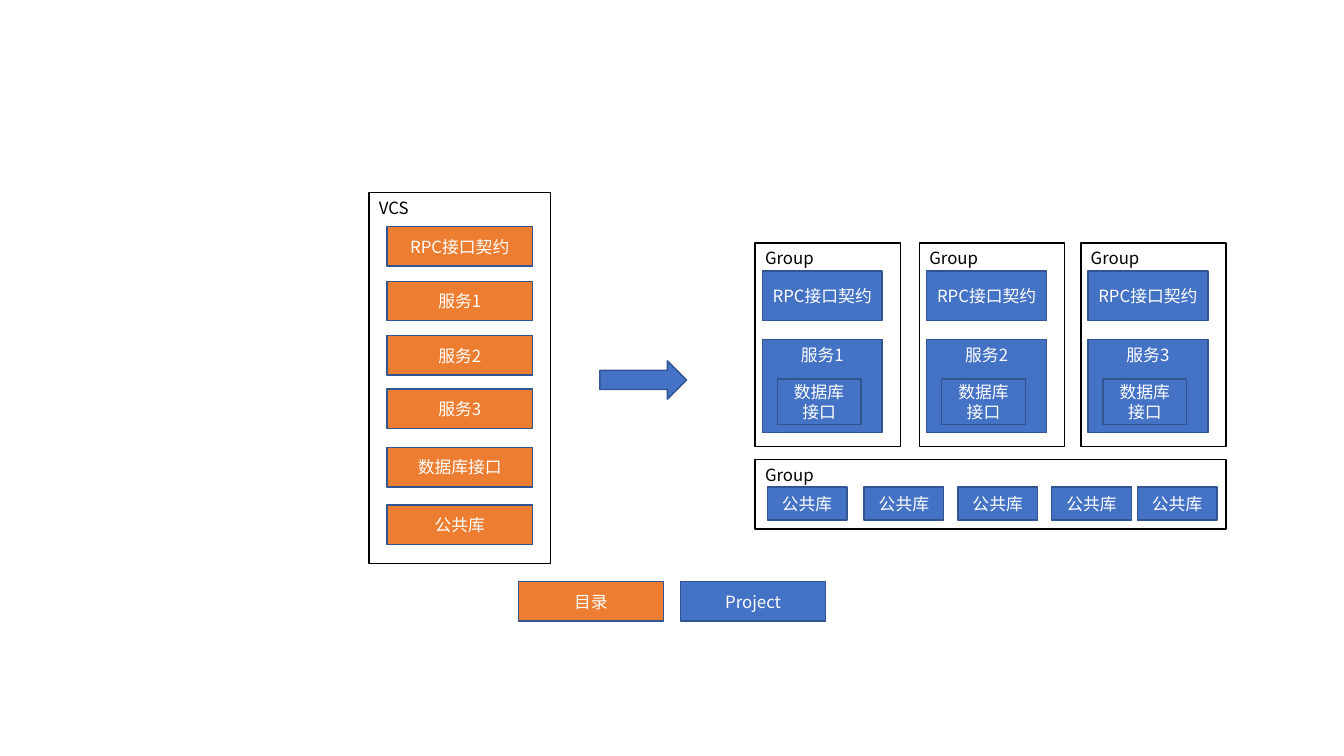
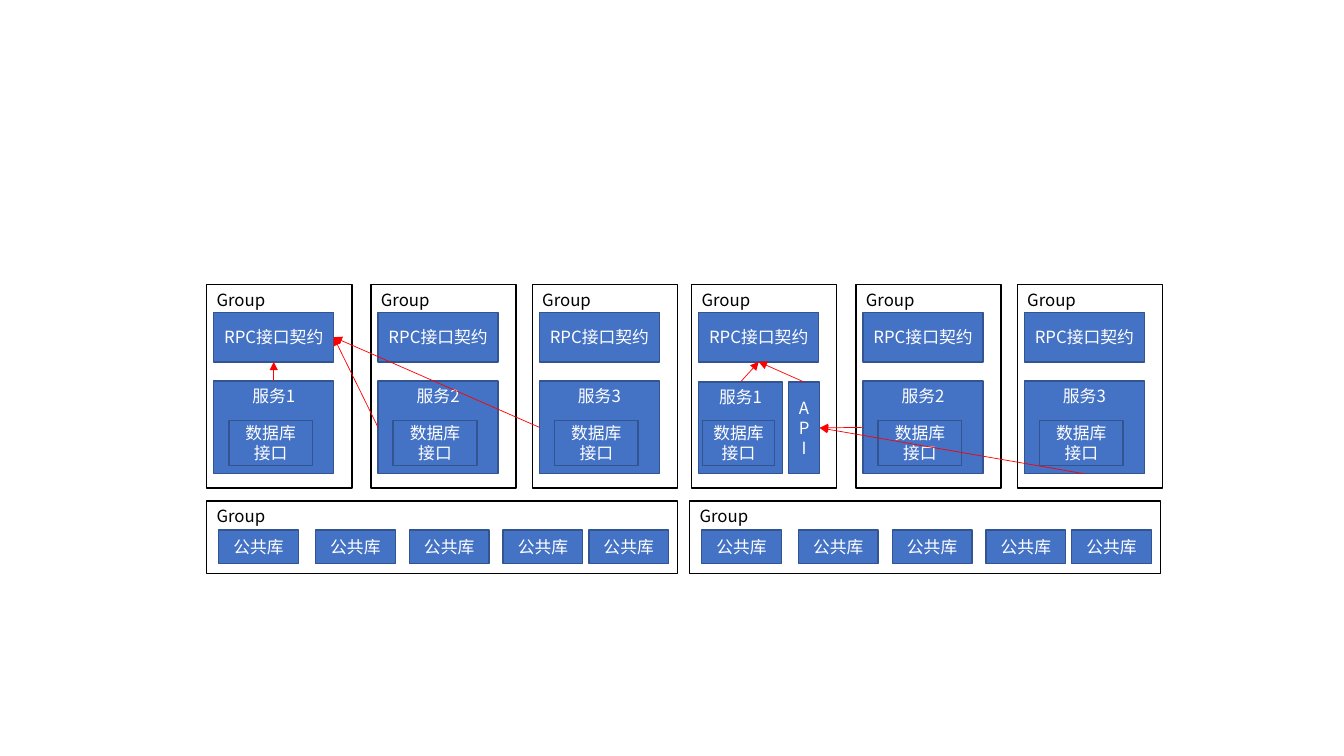
from lxml.etree import SubElement
from pptx import Presentation
from pptx.dml.color import RGBColor
from pptx.enum.shapes import MSO_CONNECTOR as Connector, MSO_SHAPE as Shape
from pptx.enum.text import MSO_ANCHOR as Anchor, PP_ALIGN as Align
from pptx.oxml.ns import qn
from pptx.util import Inches, Pt

FONT = "Noto Sans CJK SC"
BLUE, ORANGE, EDGE = "4472C4", "ED7D31", "325491"
BLACK, WHITE, RED = "000000", "FFFFFF", "FF0000"
TOP, LEFT, BOTTOM, RIGHT = range(4)

REPOSITORY = "VCS"
CONTRACT, DATABASE, LIBRARY = "RPC接口契约", "数据库接口", "公共库"
SERVICES = ["服务1", "服务2", "服务3"]
DIRECTORIES = list(zip([CONTRACT, *SERVICES, DATABASE, LIBRARY],
                       [2.25, 2.79, 3.33, 3.86, 4.44, 5.01]))
LEGEND = [("目录", ORANGE, 5.14), ("Project", BLUE, 6.75)]

GROUP_OFFSETS = [0, 1.63, 3.23]
LIBRARY_OFFSETS = [0.12, 1.08, 2.01, 2.94, 3.79]


def color(value):
    return RGBColor.from_string(value)


def add_box(page, text, left, top, width, height, fill=BLUE,
            anchor=Anchor.MIDDLE, kind=Shape.RECTANGLE):
    box = page.shapes.add_shape(kind, Inches(left), Inches(top), Inches(width), Inches(height))
    box.shadow.inherit = False
    box.line.width = Pt(1)
    box.line.color.rgb = color(EDGE if fill else BLACK)
    if fill:
        box.fill.solid()
        box.fill.fore_color.rgb = color(fill)
    else:
        box.fill.background()
    if text:
        frame = box.text_frame
        frame.word_wrap = True
        frame.vertical_anchor = anchor
        frame.text = text
        para = frame.paragraphs[0]
        para.alignment = Align.CENTER if fill else Align.LEFT
        span = para.runs[0]
        span.font.size = Pt(12)
        span.font.name = FONT
        span.font.color.rgb = color(WHITE if fill else BLACK)
        SubElement(span.font._element, qn("a:ea"), typeface=FONT)
    return box


def add_frame(page, text, left, top, width, height):
    return add_box(page, text, left, top, width, height, None, Anchor.TOP)


def add_group(page, name, left, top, with_api=False):
    add_frame(page, "Group", left, top, 1.44, 2.02)
    inner = left + 0.07
    contract = add_box(page, CONTRACT, inner, top + 0.28, 1.19, 0.49)
    service_top, service_height = (top + 0.97, 0.91) if with_api else (top + 0.96, 0.92)
    service_width, database_inset, database_width = (
        (0.83, 0.04, 0.71) if with_api else (1.19, 0.15, 0.83))
    service = add_box(page, name, inner, service_top, service_width, service_height,
                      anchor=Anchor.TOP)
    add_box(page, DATABASE, inner + database_inset, top + 1.35, database_width, 0.45)
    api = None
    if with_api:
        api = add_box(page, "API", left + 0.96, service_top, 0.31, service_height)
    return contract, service, api


def add_projects(page, left, top, library_left, library_height, library_inset, with_api=False):
    groups = [add_group(page, name, left + offset, top, with_api and offset == 0)
              for name, offset in zip(SERVICES, GROUP_OFFSETS)]
    library_top = top + 2.15
    add_frame(page, "Group", library_left, library_top, 4.67, library_height)
    for offset in LIBRARY_OFFSETS:
        add_box(page, LIBRARY, library_left + offset, library_top + library_inset, 0.79, 0.33)
    return groups


def add_arrow(page, source, source_side, target, target_side):
    arrow = page.shapes.add_connector(Connector.STRAIGHT, 0, 0, 0, 0)
    arrow.begin_connect(source, source_side)
    arrow.end_connect(target, target_side)
    arrow.line.color.rgb = color(RED)
    arrow.line.width = Pt(0.5)
    SubElement(arrow.line._get_or_add_ln(), qn("a:tailEnd"), type="triangle")
    SubElement(arrow._element.spPr, qn("a:effectLst"))


def build_migration(page):
    add_frame(page, REPOSITORY, 3.66, 1.91, 1.8, 3.68)
    for name, top in DIRECTORIES:
        add_box(page, name, 3.84, top, 1.44, 0.39, ORANGE)
    add_box(page, "", 5.95, 3.58, 0.86, 0.38, kind=Shape.RIGHT_ARROW)
    add_projects(page, 7.49, 2.41, 7.49, 0.69, 0.27)
    for name, fill, left in LEGEND:
        add_box(page, name, left, 5.77, 1.44, 0.39, fill)


def build_dependencies(page):
    direct = add_projects(page, 2.05, 2.82, 2.05, 0.72, 0.29)
    contract, service, _ = direct[0]
    add_arrow(page, service, TOP, contract, BOTTOM)
    for _, caller, _ in direct[1:]:
        add_arrow(page, caller, LEFT, contract, RIGHT)

    layered = add_projects(page, 6.86, 2.82, 6.84, 0.72, 0.29, with_api=True)
    contract, service, api = layered[0]
    for source in (service, api):
        add_arrow(page, source, TOP, contract, BOTTOM)
    for (_, caller, _), side in zip(layered[1:], (LEFT, BOTTOM)):
        add_arrow(page, caller, side, api, RIGHT)


deck = Presentation()
deck.slide_width, deck.slide_height = Inches(13.33), Inches(7.5)
for build in (build_migration, build_dependencies):
    build(deck.slides.add_slide(deck.slide_layouts[6]))
deck.save("out.pptx")
